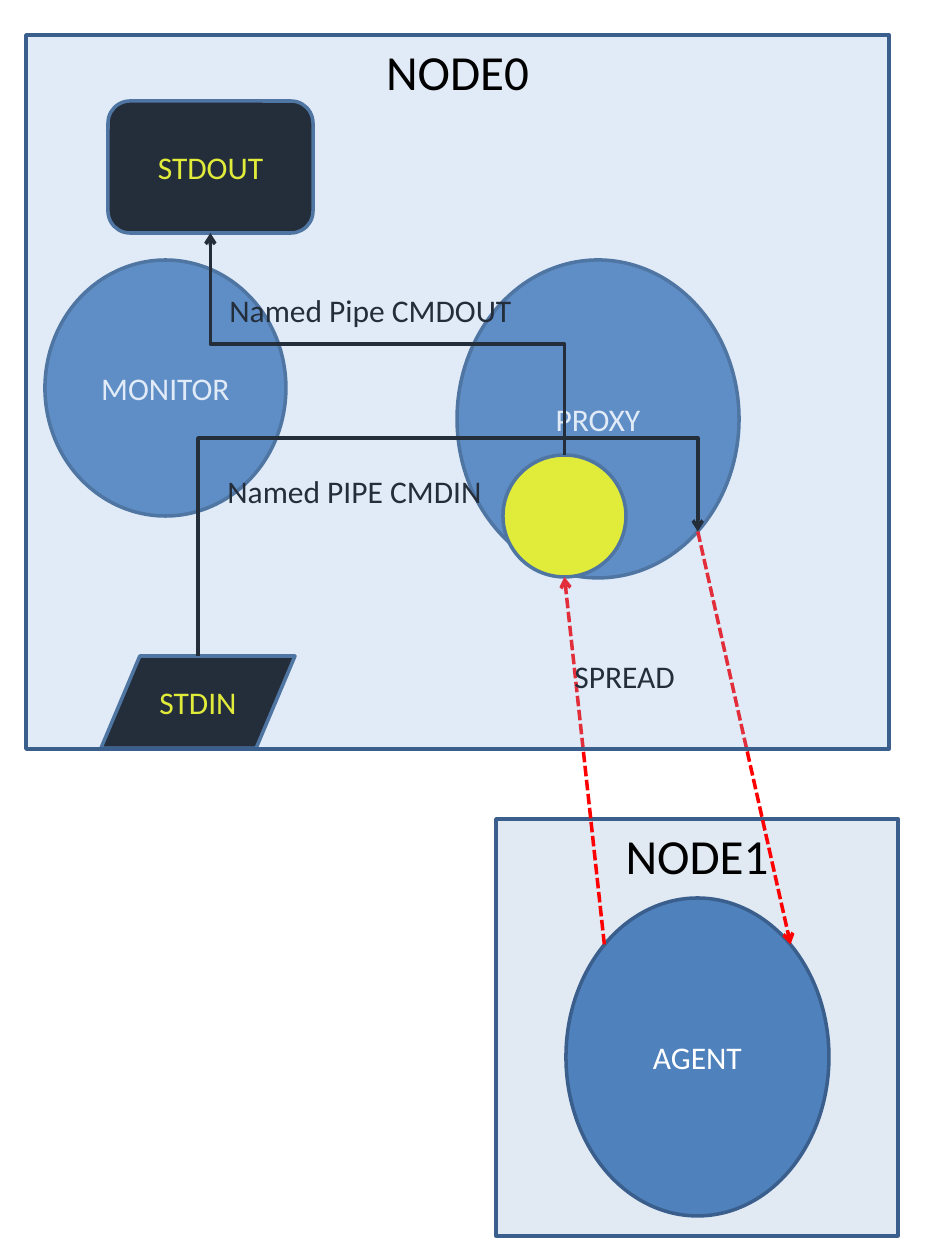
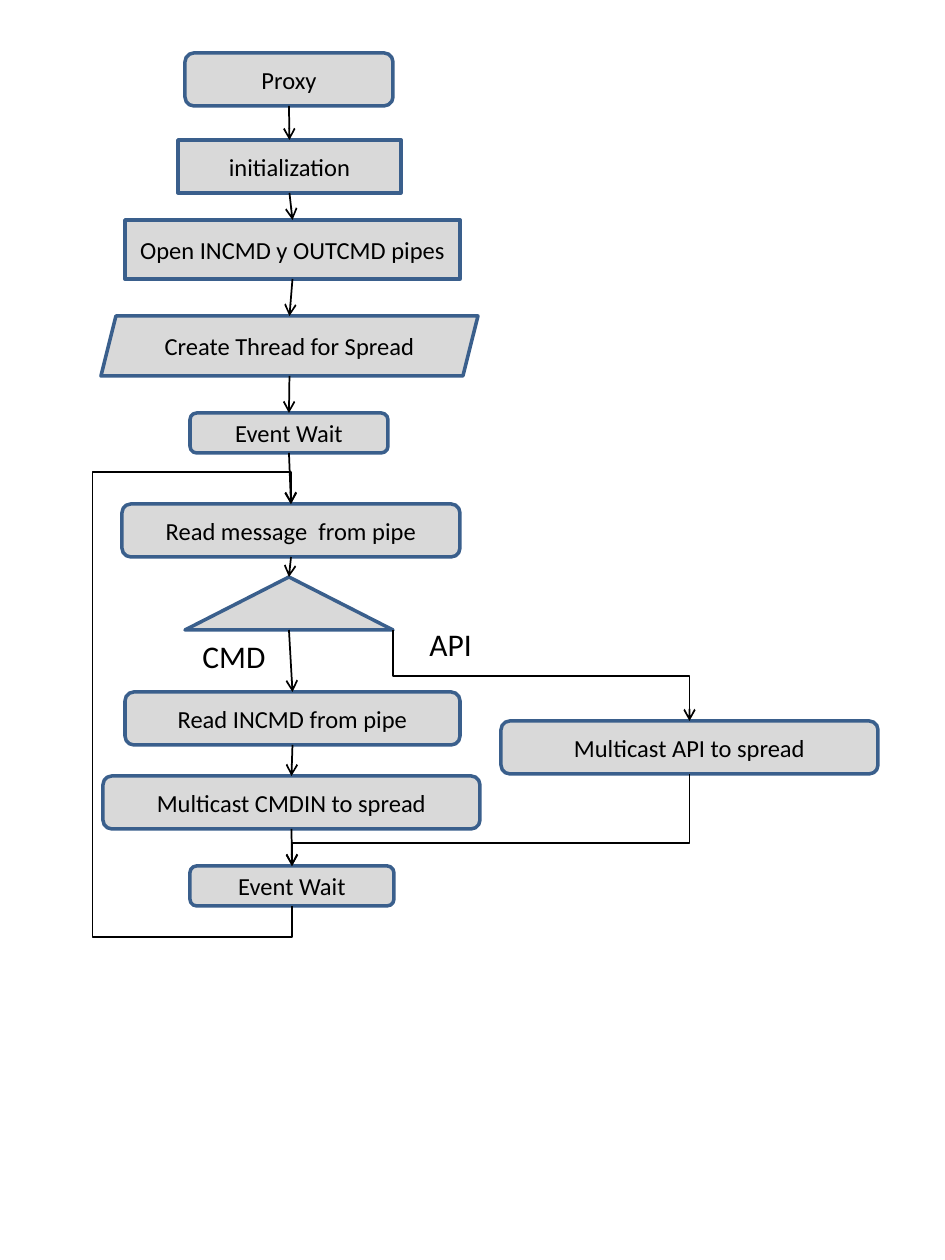
from itertools import pairwise

from lxml import etree
from pptx import Presentation, util as u
from pptx.dml.color import RGBColor
from pptx.enum import dml, shapes, text
from pptx.oxml.ns import qn

PIXEL = u.Inches(1) / 126
FONT = "Calibri"
BLUE, PALE, EDGE, GREY = "4F81BD", "8EB4E3", "3A5F8C", "D9D9D9"
BLACK, WHITE, YELLOW, RED = "000000", "FFFFFF", "FFFF00", "FF0000"

KINDS = shapes.MSO_SHAPE
SPOTS = {
    "top": (0.5, 0), "bottom": (0.5, 1), "corner": (1, 1),
    "upper left": (0.146, 0.146), "upper right": (0.854, 0.146),
    "lower right": (0.854, 0.854),
}
SITES = {
    KINDS.OVAL: {"top": 0, "bottom": 4, "lower right": 5},
    KINDS.ROUNDED_RECTANGLE: {"top": 0, "bottom": 2},
    KINDS.FLOWCHART_ALTERNATE_PROCESS: {"top": 0, "bottom": 2},
    KINDS.FLOWCHART_DATA: {"top": 1},
    KINDS.ISOSCELES_TRIANGLE: {"corner": 4},
}

NODES = {
    "node1": ("NODE1", KINDS.RECTANGLE, (496, 819, 402, 417)),
    "node0": ("NODE0", KINDS.RECTANGLE, (26, 35, 863, 714)),
}
NODE_FILLS = {"node1": (BLUE, 17), "node0": (PALE, 26)}
PROCESSES = {
    "monitor": ("MONITOR", KINDS.OVAL, (45, 260, 241, 256), BLUE, WHITE),
    "proxy": ("PROXY", KINDS.OVAL, (457, 260, 282, 318), BLUE, WHITE),
    "agent": ("AGENT", KINDS.OVAL, (566, 898, 263, 318), BLUE, WHITE),
    "stdout": ("STDOUT", KINDS.ROUNDED_RECTANGLE, (108, 101, 205, 132), BLACK, YELLOW),
    "stdin": ("STDIN", KINDS.FLOWCHART_DATA, (101, 656, 194, 92), BLACK, YELLOW),
    "thread": ("", KINDS.OVAL, (503, 455, 123, 122), YELLOW, BLACK),
}
PIPES = [
    ("thread", "top", "stdout", "bottom", [344]),
    ("stdin", "top", "proxy", "lower right", [438]),
]
SPREAD_LINKS = [
    ("proxy", "lower right", "agent", "upper right"),
    ("agent", "upper left", "thread", "bottom"),
]
PIPE_LABELS = [
    ("Named Pipe CMDOUT", (217, 285, 311, 50)),
    ("Named PIPE CMDIN", (215, 466, 282, 50)),
    ("SPREAD", (562, 651, 127, 50)),
]

STEP = KINDS.FLOWCHART_ALTERNATE_PROCESS
MAIN_STEPS = {
    "start": ("Proxy", KINDS.ROUNDED_RECTANGLE, (185, 53, 208, 53)),
    "init": ("initialization", KINDS.RECTANGLE, (178, 140, 223, 53)),
    "open": ("Open INCMD y OUTCMD pipes", KINDS.RECTANGLE, (125, 220, 335, 59)),
    "create": ("Create Thread for Spread", KINDS.PARALLELOGRAM, (101, 316, 377, 60)),
    "first wait": ("Event Wait", STEP, (190, 413, 198, 40)),
    "read": ("Read message  from pipe", STEP, (122, 504, 338, 53)),
    "choice": ("", KINDS.ISOSCELES_TRIANGLE, (185, 577, 208, 53)),
    "read command": ("Read INCMD from pipe", STEP, (125, 692, 335, 53)),
    "send command": ("Multicast CMDIN to spread", STEP, (103, 776, 377, 53)),
    "last wait": ("Event Wait", STEP, (190, 866, 204, 40)),
}
API_STEPS = {"send api": ("Multicast API to spread", STEP, (501, 721, 377, 53))}
BRANCHES = [
    ("last wait", "bottom", "read", "top", [937, 91, 472]),
    ("choice", "corner", "send api", "top", [676]),
    ("send api", "bottom", "last wait", "top", [843]),
]
BRANCH_LABELS = [("CMD", (190, 631, 89, 50)), ("API", (417, 619, 68, 50))]


def px(value):
    return u.Emu(round(value * PIXEL))


def color(value):
    return RGBColor.from_string(value)


def write(shape, words, size, ink, align, anchor):
    frame = shape.text_frame
    frame.vertical_anchor = anchor
    para = frame.paragraphs[0]
    para.alignment = align
    span = para.add_run()
    span.text = words
    span.font.name, span.font.size = FONT, u.Pt(size)
    span.font.color.rgb = color(ink)


def add_box(page, words, kind, place, fill, ink, size,
            anchor=text.MSO_ANCHOR.MIDDLE, opacity=100):
    box = page.shapes.add_shape(kind, *map(px, place))
    box.shadow.inherit = False
    box.fill.solid()
    box.fill.fore_color.rgb = color(fill)
    if opacity < 100:
        tint = box._element.spPr.find(".//" + qn("a:srgbClr"))
        etree.SubElement(tint, qn("a:alpha"), val=str(opacity * 1000))
    box.line.color.rgb = color(EDGE)
    box.line.width = u.Pt(2)
    if words:
        write(box, words, size, ink, text.PP_ALIGN.CENTER, anchor)
    return box


def add_label(page, words, place):
    label = page.shapes.add_textbox(*map(px, place))
    label.text_frame.word_wrap = False
    label.text_frame.auto_size = text.MSO_AUTO_SIZE.SHAPE_TO_FIT_TEXT
    write(label, words, 18, BLACK, text.PP_ALIGN.LEFT, text.MSO_ANCHOR.TOP)


def add_node(page, name):
    fill, opacity = NODE_FILLS[name]
    add_box(page, *NODES[name], fill, BLACK, 28, text.MSO_ANCHOR.TOP, opacity)


def point(box, spot):
    across, down = SPOTS[spot]
    return box.left + across * box.width, box.top + down * box.height


def style_line(line, ink, width, dash=None):
    line.line.color.rgb = color(ink)
    line.line.width = u.Pt(width)
    if dash:
        line.line.dash_style = dash
    outline = line._element.spPr.find(qn("a:ln"))
    etree.SubElement(outline, qn("a:tailEnd"), type="arrow")
    etree.SubElement(line._element.spPr, qn("a:effectLst"))


def add_arrow(page, boxes, source, leave, target, enter, ink, width, dash=None):
    ends = point(boxes[source], leave) + point(boxes[target], enter)
    arrow = page.shapes.add_connector(shapes.MSO_CONNECTOR.STRAIGHT, *map(round, ends))
    style_line(arrow, ink, width, dash)


def attach(elbow, first, leave, last, enter):
    elbow.begin_connect(first, 0)
    elbow.end_connect(last, 0)
    for tag, box, spot in (("a:stCxn", first, leave), ("a:endCxn", last, enter)):
        glue = elbow._element.find(".//" + qn(tag))
        glue.set("idx", str(SITES[box.auto_shape_type][spot]))


def add_elbow(page, boxes, source, leave, target, enter, bends, width):
    first, last = boxes[source], boxes[target]
    (x1, y1), (x2, y2) = point(first, leave), point(last, enter)
    elbow = page.shapes.add_connector(shapes.MSO_CONNECTOR.ELBOW, 0, 0, 0, 0)
    attach(elbow, first, leave, last, enter)
    run, drop = x2 - x1, y2 - y1
    elbow.width, elbow.height = round(abs(drop)), round(abs(run))
    elbow.left = round((x1 + x2 - abs(drop)) / 2)
    elbow.top = round((y1 + y2 - abs(run)) / 2)
    frame = elbow._element.spPr.find(qn("a:xfrm"))
    frame.set("rot", str(90 * 60000))
    frame.set("flipH", str(int(drop < 0)))
    frame.set("flipV", str(int(run > 0)))
    shape = elbow._element.spPr.find(qn("a:prstGeom"))
    shape.set("prst", f"bentConnector{len(bends) + 2}")
    guides = shape.find(qn("a:avLst"))
    if guides is None:
        guides = etree.SubElement(shape, qn("a:avLst"))
    for index, bend in enumerate(bends):
        origin, length = (x1, run) if index % 2 else (y1, drop)
        share = round((px(bend) - origin) / length * 100000)
        etree.SubElement(guides, qn("a:gd"), name=f"adj{index + 1}", fmla=f"val {share}")
    style_line(elbow, BLACK, width)


def draw_nodes(page):
    add_node(page, "node1")
    boxes = {name: add_box(page, *spec, 18) for name, spec in PROCESSES.items()}
    for pipe in PIPES:
        add_elbow(page, boxes, *pipe, 2)
    for link in SPREAD_LINKS:
        add_arrow(page, boxes, *link, RED, 2, dml.MSO_LINE.SQUARE_DOT)
    for label in PIPE_LABELS:
        add_label(page, *label)
    add_node(page, "node0")


def draw_flow(page):
    steps = MAIN_STEPS | API_STEPS
    boxes = {name: add_box(page, *spec, GREY, BLACK, 14) for name, spec in steps.items()}
    for source, target in pairwise(MAIN_STEPS):
        add_arrow(page, boxes, source, "bottom", target, "top", BLACK, 1)
    for branch in BRANCHES:
        add_elbow(page, boxes, *branch, 1)
    for label in BRANCH_LABELS:
        add_label(page, *label)


deck = Presentation()
deck.slide_width, deck.slide_height = px(945), px(1260)
for draw in (draw_nodes, draw_flow):
    draw(deck.slides.add_slide(deck.slide_layouts[6]))
deck.save("out.pptx")
